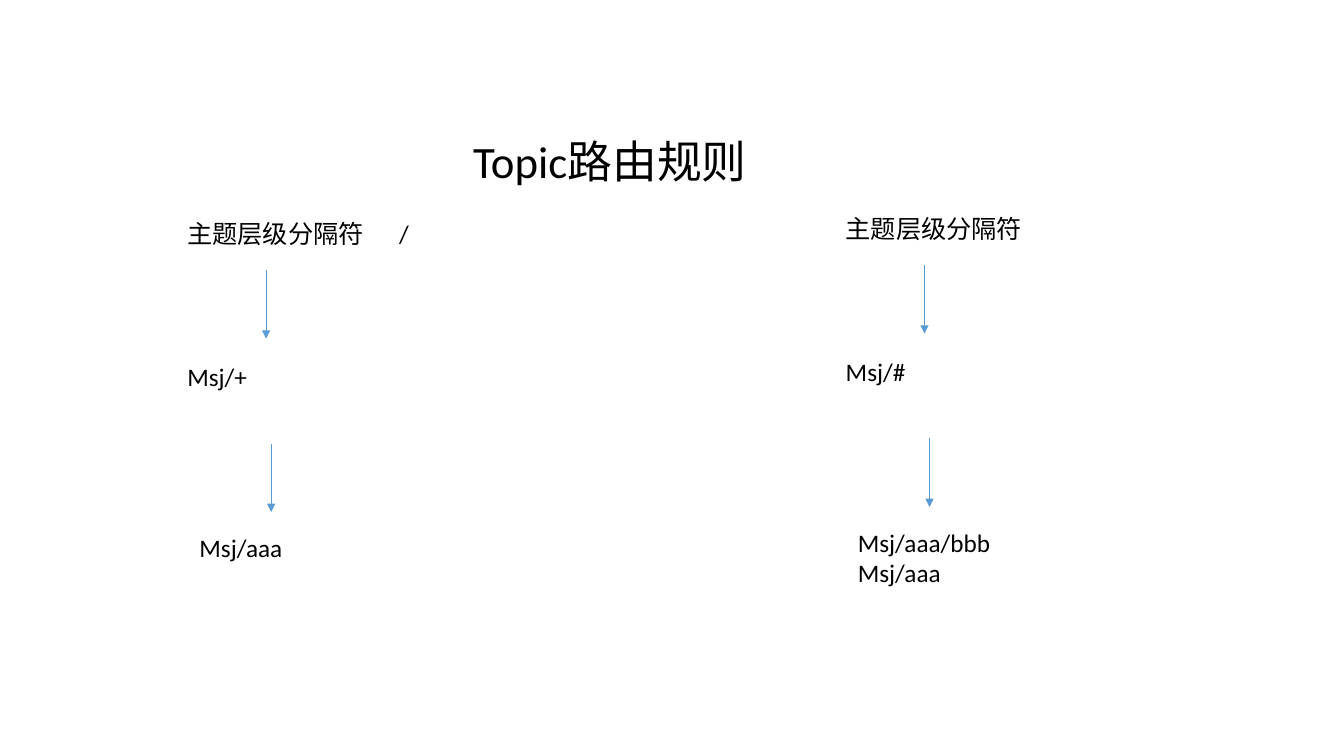
from dataclasses import dataclass

from lxml.etree import SubElement
from pptx import Presentation
from pptx.dml.color import RGBColor
from pptx.enum.shapes import MSO_CONNECTOR
from pptx.enum.text import MSO_AUTO_SIZE, PP_ALIGN
from pptx.oxml.ns import qn
from pptx.util import Inches, Pt


@dataclass(frozen=True)
class Theme:
    font: str = "Calibri"
    title: int = 32
    body: int = 18
    ink: RGBColor = RGBColor(0x00, 0x00, 0x00)
    arrow: RGBColor = RGBColor(0x5B, 0x9B, 0xD5)
    arrow_width: float = 0.5


THEME = Theme()
SLIDE_W, SLIDE_H = 13.33, 7.5
LINE_H = 0.4
ARROW_H = 0.68


def add_text(s, box, text, size=THEME.body, align=PP_ALIGN.LEFT):
    tf = s.shapes.add_textbox(*map(Inches, box)).text_frame
    tf.word_wrap = True
    tf.auto_size = MSO_AUTO_SIZE.SHAPE_TO_FIT_TEXT
    tf.text = text
    for p in tf.paragraphs:
        p.alignment = align
        for r in p.runs:
            r.font.name = THEME.font
            r.font.size = Pt(size)
            r.font.color.rgb = THEME.ink


def add_down_arrow(s, x, y):
    line = s.shapes.add_connector(
        MSO_CONNECTOR.STRAIGHT, *map(Inches, (x, y, x, y + ARROW_H)))
    line.line.color.rgb = THEME.arrow
    line.line.width = Pt(THEME.arrow_width)
    SubElement(line.line._get_or_add_ln(), qn("a:tailEnd"), type="triangle")
    SubElement(line._element.spPr, qn("a:effectLst"))


def add_title(s, box):
    add_text(s, box, "Topic路由规则 ", THEME.title, PP_ALIGN.CENTER)


def add_route(s, x, y, pattern, matches, separator=None):
    """Stack heading, topic pattern and matching topics, joined by arrows."""
    add_text(s, (x, y, 2.17, LINE_H), "主题层级分隔符")
    if separator:
        add_text(s, (x + 2.1, y, 0.59, LINE_H), separator)
    add_down_arrow(s, x + 0.88, y + 0.56)
    add_text(s, (x, y + 1.42, 2.04, LINE_H), pattern)
    add_down_arrow(s, x + 0.93, y + 2.28)
    height = LINE_H + 0.31 * (len(matches) - 1)
    add_text(s, (x + 0.12, y + 3.11, 2.04, height), "\n".join(matches))


def main():
    prs = Presentation()
    prs.slide_width, prs.slide_height = Inches(SLIDE_W), Inches(SLIDE_H)
    s = prs.slides.add_slide(prs.slide_layouts[6])
    add_title(s, (4.46, 1.28, 3.28, 0.64))
    add_route(s, 1.76, 2.12, "Msj/+", ["Msj/aaa"], separator="/")
    add_route(s, 8.29, 2.07, "Msj/#", ["Msj/aaa/bbb", "Msj/aaa"])
    prs.save("out.pptx")


if __name__ == "__main__":
    main()
